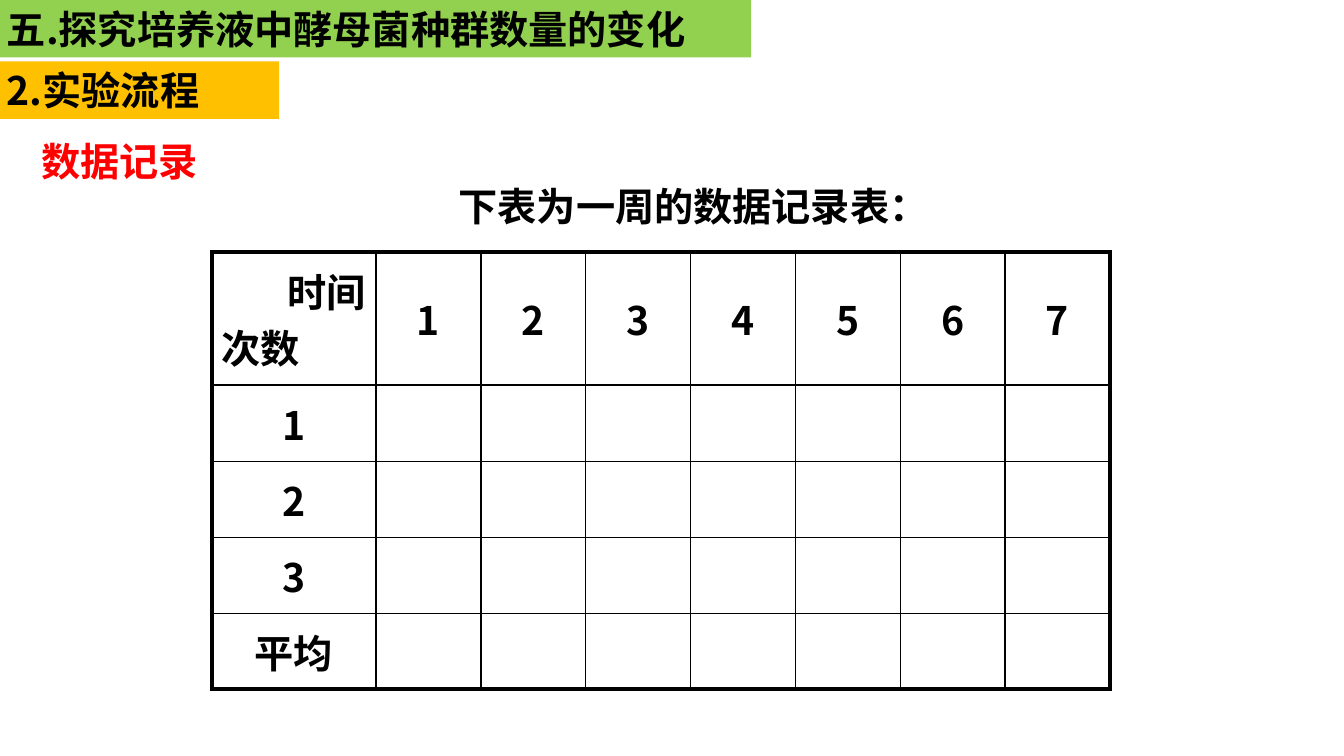
from lxml.etree import SubElement
from pptx import Presentation
from pptx.dml.color import RGBColor
from pptx.enum.shapes import MSO_SHAPE
from pptx.enum.text import MSO_ANCHOR, PP_ALIGN
from pptx.oxml.ns import qn
from pptx.util import Inches, Pt

# Content
FONT = "Noto Sans CJK SC"
COLORS = {"black": "000000", "red": "FF0000", "green": "92D050", "amber": "FFC000"}
BANNERS = [  # text, top, width, fill
    ("五.探究培养液中酵母菌种群数量的变化", 0, 7.48, "green"),
    ("2.实验流程", 0.61, 2.8, "amber"),
]
LABELS = [  # text, left, top, width, colour
    ("下表为一周的数据记录表：", 4.45, 1.76, 4.87, "black"),
    ("数据记录", 0.31, 1.31, 1.76, "red"),
]
CORNER = [("时间", PP_ALIGN.RIGHT), ("次数", PP_ALIGN.LEFT)]
DAYS = ["1", "2", "3", "4", "5", "6", "7"]
COUNTS = ["1", "2", "3", "平均"]

LINE_HEIGHT = 0.57
TABLE_LEFT, TABLE_TOP = 2.1, 2.5
COLUMN_WIDTHS = [1.63] + [1.04] * len(DAYS)
ROW_HEIGHTS = [1.32] + [0.755] * len(COUNTS)
OUTER, INNER = 3, 1  # border widths in points


def rgb(name):
    return RGBColor.from_string(COLORS[name])


def write(paragraph, text, color="black", align=PP_ALIGN.LEFT):
    paragraph.alignment = align
    run = paragraph.add_run()
    run.text = text
    run.font.size, run.font.bold, run.font.name = Pt(28), True, FONT
    run.font.color.rgb = rgb(color)
    SubElement(run.font._element, qn("a:ea"), typeface=FONT)


def add_border(cell, side, points):
    line = SubElement(cell._tc.get_or_add_tcPr(), qn(f"a:ln{side}"), w=str(Pt(points)))
    SubElement(SubElement(line, qn("a:solidFill")), qn("a:srgbClr"), val=COLORS["black"])


prs = Presentation()
prs.slide_width, prs.slide_height = Inches(13.33), Inches(7.5)
slide = prs.slides.add_slide(prs.slide_layouts[6])

# Record table
table = slide.shapes.add_table(
    len(ROW_HEIGHTS), len(COLUMN_WIDTHS), Inches(TABLE_LEFT), Inches(TABLE_TOP),
    Inches(sum(COLUMN_WIDTHS)), Inches(sum(ROW_HEIGHTS))).table
table.first_row = table.horz_banding = False
for column, width in zip(table.columns, COLUMN_WIDTHS):
    column.width = Inches(width)
for row, height in zip(table.rows, ROW_HEIGHTS):
    row.height = Inches(height)

last_row, last_column = len(COUNTS), len(DAYS)
for r in range(last_row + 1):
    for c in range(last_column + 1):
        cell = table.cell(r, c)
        cell.vertical_anchor = MSO_ANCHOR.MIDDLE
        edges = {"L": c == 0, "R": c == last_column, "T": r == 0, "B": r == last_row}
        for side, is_outer in edges.items():
            add_border(cell, side, OUTER if is_outer else INNER)
        cell.fill.background()

# Corner and header texts
corner_frame = table.cell(0, 0).text_frame
corner_frame.add_paragraph()
for paragraph, (text, align) in zip(corner_frame.paragraphs, CORNER):
    write(paragraph, text, align=align)
headers = [(0, c, day) for c, day in enumerate(DAYS, 1)]
headers += [(r, 0, count) for r, count in enumerate(COUNTS, 1)]
for r, c, text in headers:
    write(table.cell(r, c).text_frame.paragraphs[0], text, align=PP_ALIGN.CENTER)

# Caption and section label
for text, left, top, width, color in LABELS:
    label = slide.shapes.add_textbox(Inches(left), Inches(top), Inches(width), Inches(LINE_HEIGHT))
    label.text_frame.word_wrap = False
    label.text_frame.vertical_anchor = MSO_ANCHOR.MIDDLE
    write(label.text_frame.paragraphs[0], text, color)

# Title banners
for text, top, width, fill in BANNERS:
    banner = slide.shapes.add_shape(
        MSO_SHAPE.RECTANGLE, Inches(-0.03), Inches(top), Inches(width), Inches(LINE_HEIGHT))
    banner.shadow.inherit = False
    banner.fill.solid()
    banner.fill.fore_color.rgb = rgb(fill)
    banner.line.fill.background()
    banner.text_frame.word_wrap = True
    banner.text_frame.vertical_anchor = MSO_ANCHOR.MIDDLE
    write(banner.text_frame.paragraphs[0], text)

prs.save("out.pptx")
